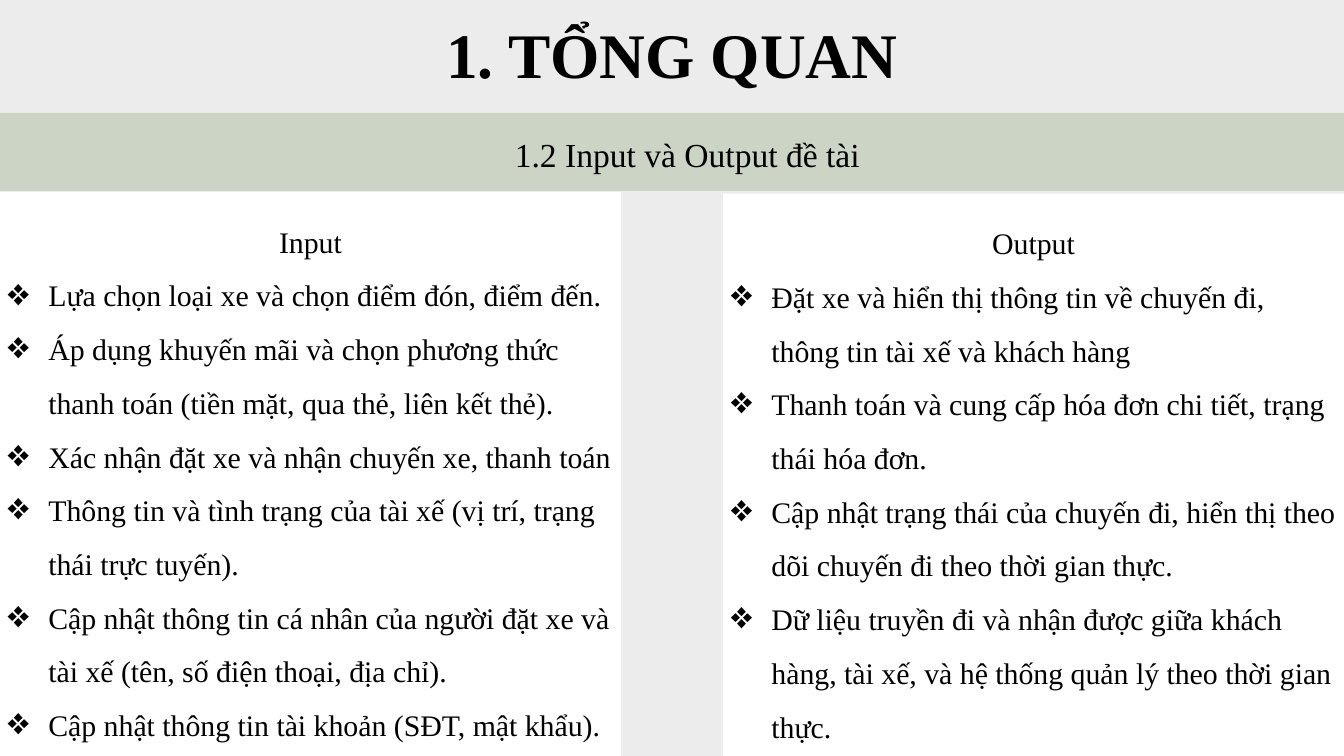
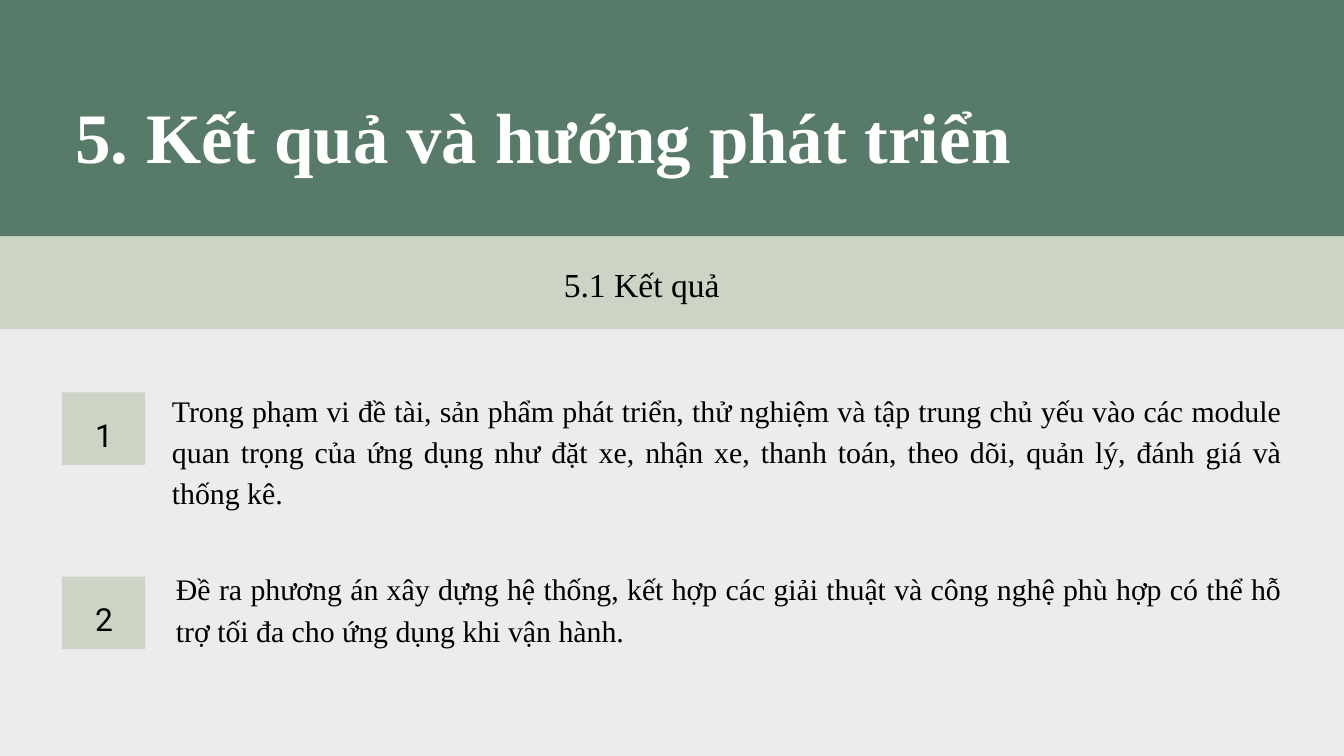
from lxml import etree
from pptx import Presentation
from pptx.dml.color import RGBColor
from pptx.enum.shapes import MSO_SHAPE
from pptx.enum.text import MSO_ANCHOR, MSO_AUTO_SIZE, PP_ALIGN
from pptx.oxml.ns import qn
from pptx.util import Inches, Pt

RECTANGLE = MSO_SHAPE.RECTANGLE
TOP = MSO_ANCHOR.TOP
NO_AUTOFIT = MSO_AUTO_SIZE.NONE
LEFT, CENTER, JUSTIFY = PP_ALIGN.LEFT, PP_ALIGN.CENTER, PP_ALIGN.JUSTIFY

COLORS = {
    "background": "EDECED",
    "header": "587B69",
    "band": "CBD4C5",
    "panel": "FFFFFF",
    "text": "000000",
    "light": "FFFFFF",
}
SERIF = "Times New Roman"
SANS = "Roboto"
SLIDE_WIDTH = 10
SLIDE_HEIGHT = SLIDE_WIDTH * 9 / 16
BULLET_INDENT = 0.31
NO_INSETS = (0, 0, 0, 0)
PANEL_INSETS = (0.05, 0.1, 0.05, 0.05)

TITLE = {"name": SERIF, "size": Pt(34), "bold": True}
LARGE_TITLE = {**TITLE, "size": Pt(38)}
SUBTITLE = {"name": SERIF, "size": Pt(18), "bold": False}
BODY = {"name": SERIF, "size": Pt(16), "bold": False}
NUMBER = {"name": SANS, "size": Pt(17), "bold": False}

INPUTS = [
    "Lựa chọn loại xe và chọn điểm đón, điểm đến.",
    "Áp dụng khuyến mãi và chọn phương thức thanh toán (tiền mặt, qua thẻ, liên kết thẻ).",
    "Xác nhận đặt xe và nhận chuyến xe, thanh toán",
    "Thông tin và tình trạng của tài xế (vị trí, trạng thái trực tuyến).",
    "Cập nhật thông tin cá nhân của người đặt xe và tài xế (tên, số điện thoại, địa chỉ).",
    "Cập nhật thông tin tài khoản (SĐT, mật khẩu).",
]
OUTPUTS = [
    "Đặt xe và hiển thị thông tin về chuyến đi, thông tin tài xế và khách hàng",
    "Thanh toán và cung cấp hóa đơn chi tiết, trạng thái hóa đơn.",
    "Cập nhật trạng thái của chuyến đi, hiển thị theo dõi chuyến đi theo thời gian thực.",
    "Dữ liệu truyền đi và nhận được giữa khách hàng, tài xế, và hệ thống quản lý theo thời gian thực.",
]
RESULTS = [
    ("Trong phạm vi đề tài, sản phẩm phát triển, thử nghiệm và tập trung chủ yếu vào các module "
     "quan trọng của ứng dụng như đặt xe, nhận xe, thanh toán, theo dõi, quản lý, đánh giá và "
     "thống kê.", (1.28, 2.88, 8.26, 0.93)),
    ("Đề ra phương án xây dựng hệ thống, kết hợp các giải thuật và công nghệ phù hợp có thể hỗ "
     "trợ tối đa cho ứng dụng khi vận hành. ", (1.31, 4.21, 8.23, 0.62)),
]


def set_attributes(target, values):
    for name, value in values.items():
        setattr(target, name, value)


def box_inches(box):
    return [Inches(value) for value in box]


def prepare_frame(shape, insets=NO_INSETS):
    sides = ("margin_left", "margin_top", "margin_right", "margin_bottom")
    frame = shape.text_frame
    set_attributes(frame, {
        "word_wrap": True,
        "auto_size": NO_AUTOFIT,
        "vertical_anchor": TOP,
        **dict(zip(sides, box_inches(insets))),
    })
    return frame


def write_paragraph(paragraph, text, font, alignment, spacing, color="text"):
    set_attributes(paragraph, {"alignment": alignment, "line_spacing": spacing})
    run = paragraph.add_run()
    run.text = text
    set_attributes(run.font, font)
    run.font.color.rgb = RGBColor.from_string(COLORS[color])


def add_bullet(paragraph):
    properties = paragraph._p.get_or_add_pPr()
    properties.set("marL", str(Inches(BULLET_INDENT)))
    properties.set("indent", str(-Inches(BULLET_INDENT)))
    bullet_color = etree.SubElement(properties, qn("a:buClr"))
    etree.SubElement(bullet_color, qn("a:srgbClr"), val=COLORS["text"])
    etree.SubElement(properties, qn("a:buSzPct"), val="100000")
    etree.SubElement(properties, qn("a:buFont"), typeface=SERIF)
    etree.SubElement(properties, qn("a:buChar"), char="❖")


def add_rectangle(shapes, box, color):
    shape = shapes.add_shape(RECTANGLE, *box_inches(box))
    shape.shadow.inherit = False
    shape.fill.solid()
    shape.fill.fore_color.rgb = RGBColor.from_string(COLORS[color])
    shape.line.fill.background()
    return shape


def add_text(slide, text, box, font, alignment):
    shape = slide.shapes.add_textbox(*box_inches(box))
    frame = prepare_frame(shape)
    write_paragraph(frame.paragraphs[0], text, font, alignment, 1.15)


def add_title(slide, text, box, font, alignment, color="text"):
    title = slide.shapes.title
    slide.shapes._spTree.append(title._element)
    set_attributes(title, dict(zip(("left", "top", "width", "height"), box_inches(box))))
    frame = prepare_frame(title)
    write_paragraph(frame.paragraphs[0], text, font, alignment, 1.2, color)


def add_subtitle_band(slide, text, top, height, text_left, text_top):
    add_rectangle(slide.shapes, (0, top, SLIDE_WIDTH, height), "band")
    add_text(slide, text, (text_left, text_top, 8.43, 0.68), SUBTITLE, CENTER)


def add_list_panel(slide, heading, items, box):
    panel = add_rectangle(slide.shapes, box, "panel")
    frame = prepare_frame(panel, PANEL_INSETS)
    write_paragraph(frame.paragraphs[0], heading, BODY, CENTER, 1.5)
    for item in items:
        paragraph = frame.add_paragraph()
        add_bullet(paragraph)
        write_paragraph(paragraph, item, BODY, LEFT, 1.5)


def add_number_badge(slide, number, top):
    badge = slide.shapes.add_group_shape()
    add_rectangle(badge.shapes, (0.46, top, 0.62, 0.54), "band")
    label = add_rectangle(badge.shapes, (0.58, top + 0.13, 0.39, 0.29), "band")
    frame = prepare_frame(label)
    write_paragraph(frame.paragraphs[0], str(number), NUMBER, CENTER, 1.15)


def add_slide(presentation):
    slide = presentation.slides.add_slide(presentation.slide_layouts.get_by_name("Title Only"))
    slide.background.fill.solid()
    slide.background.fill.fore_color.rgb = RGBColor.from_string(COLORS["background"])
    return slide


def build_overview(presentation):
    slide = add_slide(presentation)
    add_title(slide, "1. TỔNG QUAN", (0.56, 0, 8.88, 0.69), TITLE, CENTER)
    add_list_panel(slide, "Input", INPUTS, (0, 1.43, 4.62, 4.2))
    add_subtitle_band(slide, "1.2 Input và Output đề tài", 0.84, 0.58, 0.9, 0.95)
    add_list_panel(slide, "Output", OUTPUTS, (5.38, 1.44, 4.62, 4.19))


def build_results(presentation):
    slide = add_slide(presentation)
    add_rectangle(slide.shapes, (0, 0, SLIDE_WIDTH, 1.76), "header")
    for index, (text, box) in enumerate(RESULTS):
        add_number_badge(slide, index + 1, 2.92 + 1.37 * index)
        add_text(slide, text, box, BODY, JUSTIFY)
    add_title(slide, "5. Kết quả và hướng phát triển", (0.56, 0.56, 7.46, 0.77),
              LARGE_TITLE, LEFT, "light")
    add_subtitle_band(slide, "5.1 Kết quả", 1.76, 0.69, 0.56, 1.92)


def main():
    presentation = Presentation()
    presentation.slide_width = Inches(SLIDE_WIDTH)
    presentation.slide_height = Inches(SLIDE_HEIGHT)
    build_overview(presentation)
    build_results(presentation)
    presentation.save("out.pptx")


if __name__ == "__main__":
    main()
